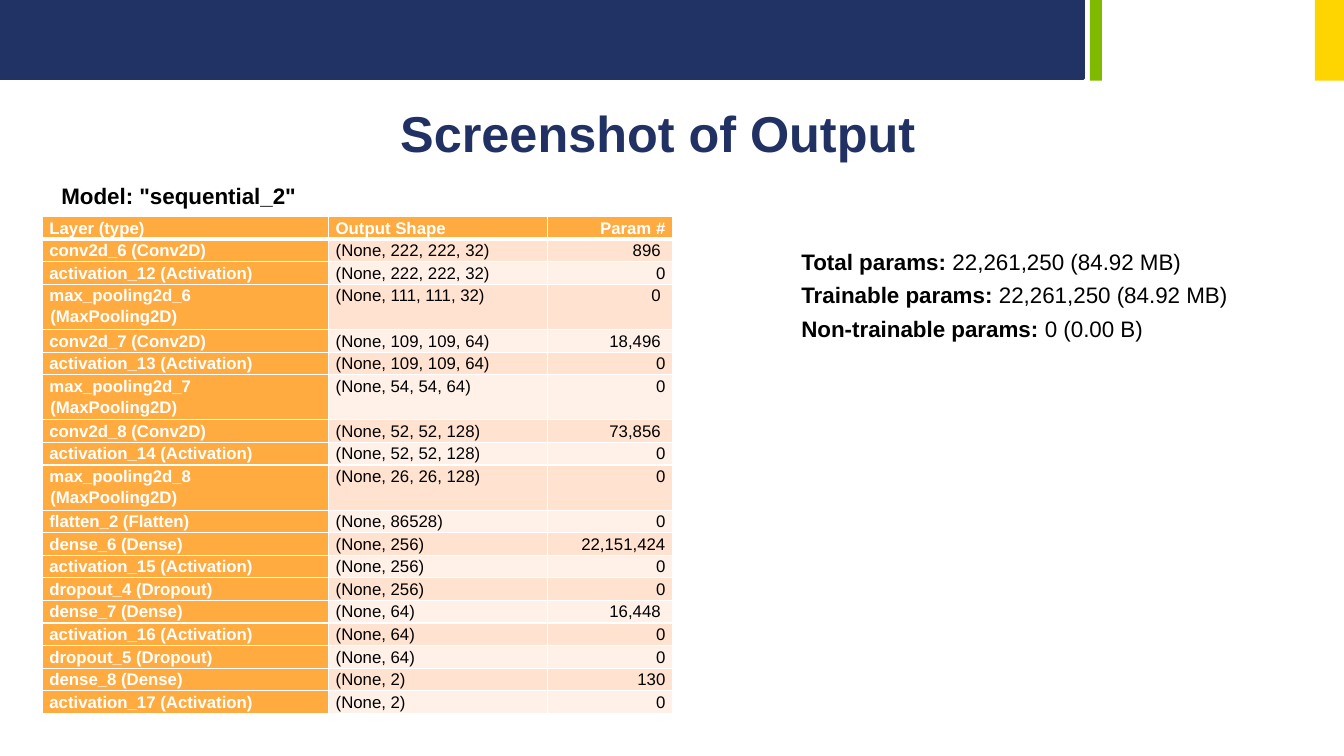
from lxml.etree import SubElement
from pptx import Presentation
from pptx.dml.color import RGBColor
from pptx.enum.shapes import MSO_SHAPE
from pptx.enum.text import PP_ALIGN
from pptx.oxml.ns import qn
from pptx.util import Inches, Pt

COLORS = {
    "navy": "213264", "title": "213163", "green": "7FBA00", "yellow": "FED500",
    "orange": "FFAB40", "peach": "FFE2CF", "cream": "FFF1E8",
    "white": "FFFFFF", "black": "000000",
}


def write(paragraph, text, size=12, color="black", bold=False, align=None, spaced=False):
    run = paragraph.add_run()
    run.text = text
    run.font.name = "Arial"
    run.font.size = Pt(size)
    run.font.bold = bold
    run.font.color.rgb = RGBColor.from_string(COLORS[color])
    if align is not None:
        paragraph.alignment = align
    if spaced:
        paragraph.line_spacing = 1.12
        paragraph.space_after = Pt(2.5)
        properties = paragraph._p.get_or_add_pPr()
        properties.set("marL", str(Inches(0.01)))
        properties.set("indent", str(-Inches(0.01)))


def add_text_frame(left, top, width, height):
    box = slide.shapes.add_textbox(Inches(left), Inches(top), Inches(width), Inches(height))
    box.text_frame.word_wrap = True
    return box.text_frame


presentation = Presentation()
presentation.slide_width = Inches(13.33)
presentation.slide_height = Inches(7.5)
slide = presentation.slides.add_slide(presentation.slide_layouts[6])

header_bars = [(0, 10.75, 0.78, "navy"), (10.81, 0.12, 0.8, "green"), (13.04, 0.29, 0.8, "yellow")]
for left, width, height, color in header_bars:
    bar = slide.shapes.add_shape(
        MSO_SHAPE.RECTANGLE, Inches(left), 0, Inches(width), Inches(height))
    bar.shadow.inherit = False
    bar.fill.solid()
    bar.fill.fore_color.rgb = RGBColor.from_string(COLORS[color])
    if color == "navy":
        bar.line.color.rgb = RGBColor.from_string(COLORS[color])
        bar.line.width = Pt(2)
    else:
        bar.line.fill.background()

title = add_text_frame(0, 0.96, 13.05, 0.71)
write(title.paragraphs[0], "Screenshot of Output", size=36, color="title", bold=True,
      align=PP_ALIGN.CENTER)

model = add_text_frame(0.51, 1.76, 3.64, 0.38)
write(model.paragraphs[0], 'Model: "sequential_2"', size=16, bold=True)

layers = [
    ("Layer (type)", "Output Shape", "Param #"),
    ("conv2d_6 (Conv2D)", "(None, 222, 222, 32)", "896 "),
    ("activation_12 (Activation)", "(None, 222, 222, 32)", "0"),
    ("max_pooling2d_6 (MaxPooling2D)", "(None, 111, 111, 32)", "0 "),
    ("conv2d_7 (Conv2D)", "(None, 109, 109, 64)", "18,496 "),
    ("activation_13 (Activation)", "(None, 109, 109, 64)", "0"),
    ("max_pooling2d_7 (MaxPooling2D)", "(None, 54, 54, 64)", "0"),
    ("conv2d_8 (Conv2D)", "(None, 52, 52, 128)", "73,856 "),
    ("activation_14 (Activation)", "(None, 52, 52, 128)", "0"),
    ("max_pooling2d_8 (MaxPooling2D)", "(None, 26, 26, 128)", "0"),
    ("flatten_2 (Flatten)", "(None, 86528)", "0"),
    ("dense_6 (Dense)", "(None, 256)", "22,151,424"),
    ("activation_15 (Activation)", "(None, 256)", "0"),
    ("dropout_4 (Dropout)", "(None, 256)", "0"),
    ("dense_7 (Dense)", "(None, 64)", "16,448 "),
    ("activation_16 (Activation)", "(None, 64)", "0"),
    ("dropout_5 (Dropout)", "(None, 64)", "0"),
    ("dense_8 (Dense)", "(None, 2)", "130"),
    ("activation_17 (Activation)", "(None, 2)", "0"),
]
column_widths = [2.84, 2.17, 1.24]
column_aligns = [PP_ALIGN.JUSTIFY, PP_ALIGN.LEFT, PP_ALIGN.RIGHT]
line_height = 4.92 / 22

table = slide.shapes.add_table(
    len(layers), len(column_widths), Inches(0.42), Inches(2.15), Inches(6.25), Inches(4.92)).table
table.first_col = True
table.horz_banding = False
for column, width in zip(table.columns, column_widths):
    column.width = Inches(width)

for row_index, layer in enumerate(layers):
    line_count = 2 if "MaxPooling2D" in layer[0] else 1
    table.rows[row_index].height = Inches(line_height * line_count)
    for column_index, text in enumerate(layer):
        cell = table.cell(row_index, column_index)
        cell.margin_left = cell.margin_right = Inches(0.07)
        cell.margin_top = cell.margin_bottom = 0
        heading = row_index == 0 or column_index == 0
        write(cell.text_frame.paragraphs[0], text, color="white" if heading else "black",
              bold=heading, align=column_aligns[column_index], spaced=True)

        cell_properties = cell._tc.get_or_add_tcPr()
        for side in ("lnL", "lnR", "lnT", "lnB"):
            under_header = (row_index, side) in ((0, "lnB"), (1, "lnT"))
            border = SubElement(cell_properties, qn(f"a:{side}"), w=str(Pt(3 if under_header else 1)))
            border_fill = SubElement(border, qn("a:solidFill"))
            SubElement(border_fill, qn("a:srgbClr"), val=COLORS["white"])
        band = "peach" if row_index % 2 else "cream"
        cell.fill.solid()
        cell.fill.fore_color.rgb = RGBColor.from_string(COLORS["orange" if heading else band])

totals = [
    ("Total params: ", "22,261,250 (84.92 MB)"),
    ("Trainable params: ", "22,261,250 (84.92 MB)"),
    ("Non-trainable params: ", "0 (0.00 B)"),
]
summary = add_text_frame(7.85, 2.38, 4.97, 1.4)
for index, (label, value) in enumerate(totals):
    paragraph = summary.add_paragraph() if index else summary.paragraphs[0]
    write(paragraph, label, size=16, bold=True, spaced=True)
    write(paragraph, value, size=16)

presentation.save("out.pptx")
